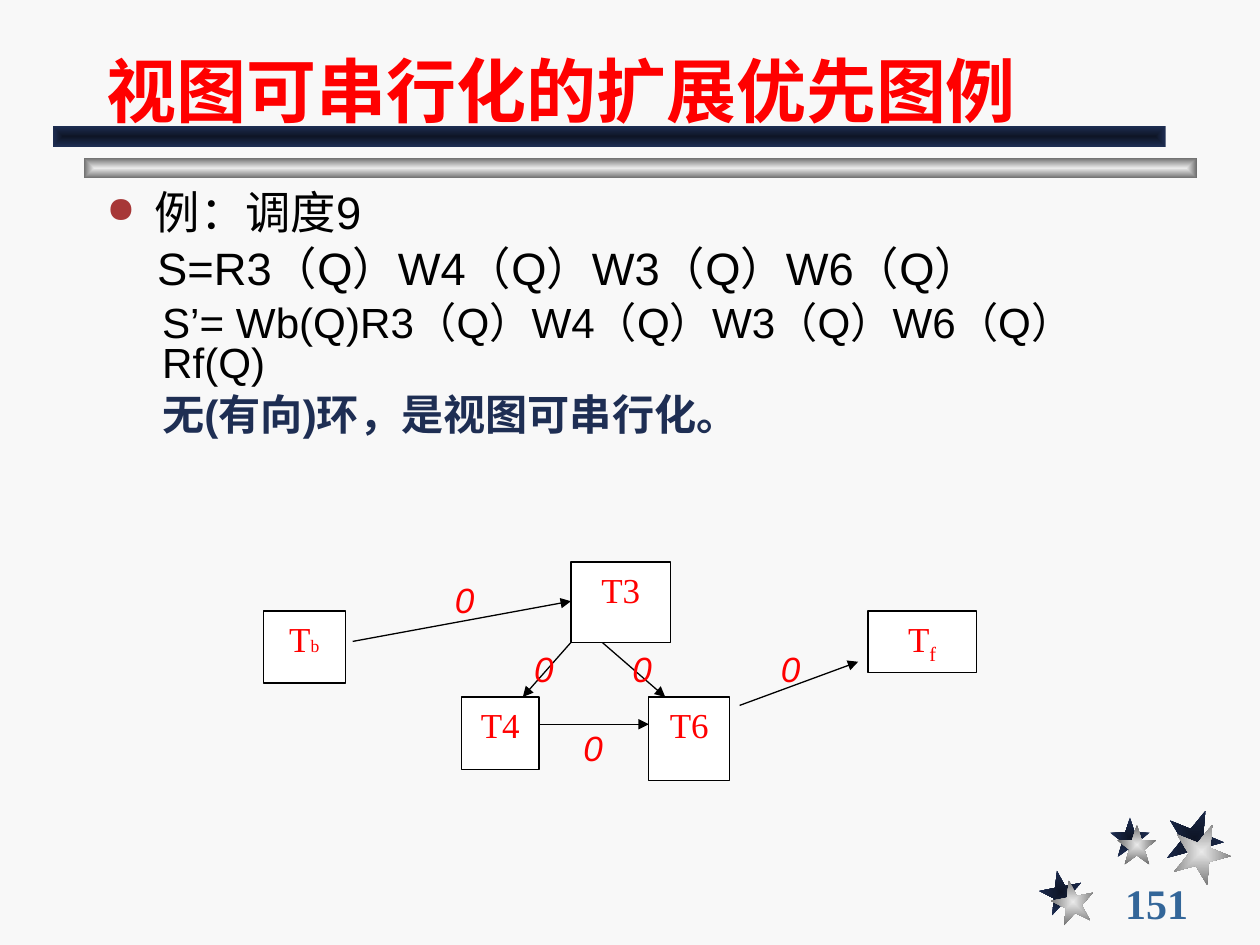
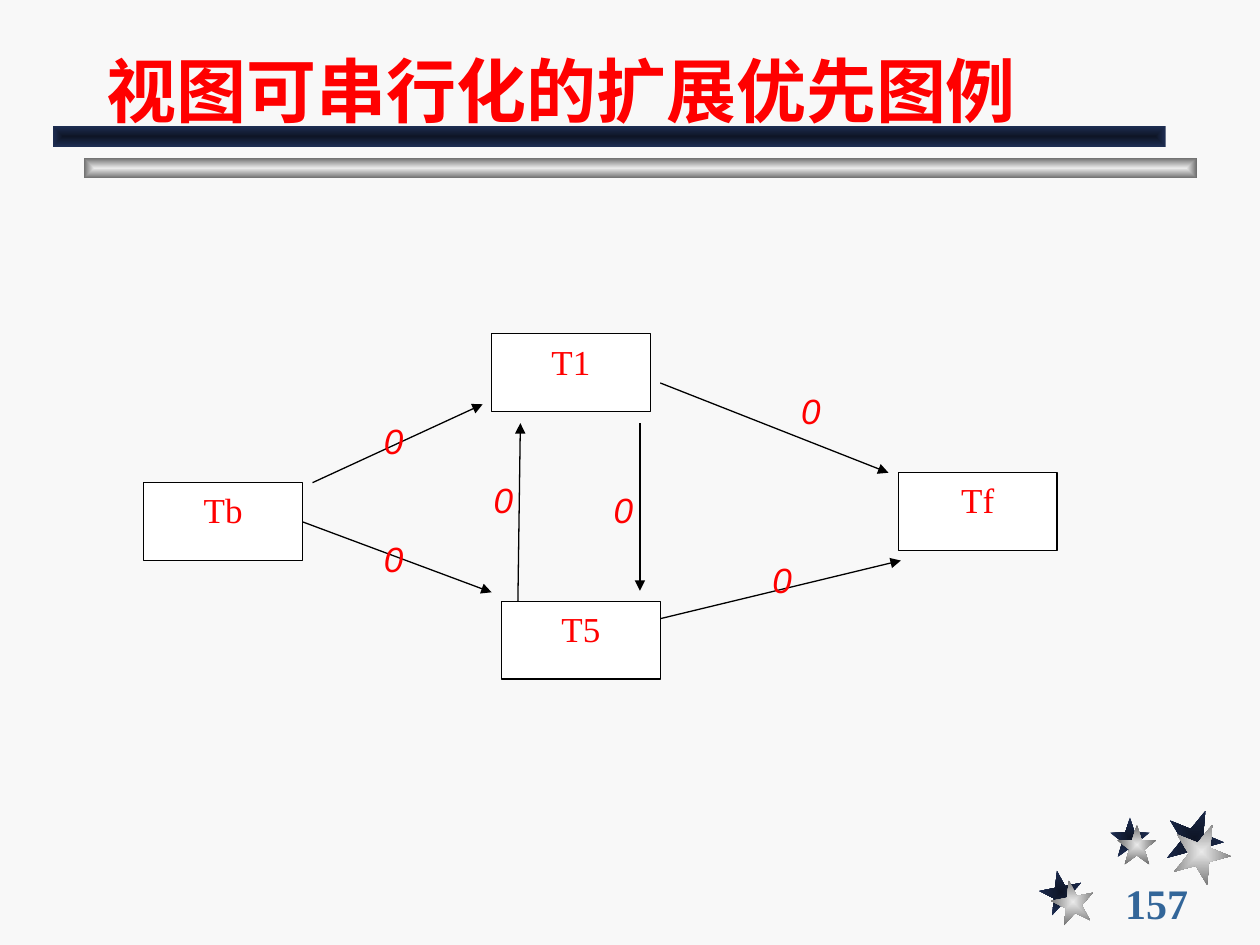
"""Build two slides on extended precedence graphs for view serializability."""
from lxml import etree
from pptx import Presentation
from pptx.dml.color import RGBColor
from pptx.enum.shapes import MSO_CONNECTOR as Link, MSO_SHAPE as Preset
from pptx.enum.text import MSO_ANCHOR as Anchor, MSO_AUTO_SIZE as Fit, PP_ALIGN as Align
from pptx.oxml.ns import qn
from pptx.util import Cm, Pt

PAPER = RGBColor(0xF8, 0xF8, 0xF8)
WHITE = RGBColor(0xFF, 0xFF, 0xFF)
BLACK = RGBColor(0x00, 0x00, 0x00)
RED = RGBColor(0xFF, 0x00, 0x00)
NAVY = RGBColor(0x1E, 0x2E, 0x53)
MIDNIGHT = RGBColor(0x0E, 0x15, 0x26)
SILVER = RGBColor(0xEA, 0xEA, 0xEA)
GREY = RGBColor(0x6C, 0x6C, 0x6C)
BULLET = RGBColor(0xA7, 0x37, 0x37)
NUMBER = RGBColor(0x33, 0x66, 0x99)

DARK_BLEND = (MIDNIGHT, NAVY)
LIGHT_BLEND = (SILVER, GREY)
SANS, SERIF = "Arial", "Times New Roman"
TITLE = "视图可串行化的扩展优先图例"

STARS = [
    (20.96, 17.55, 0.86, -11, 0.24, 0.2),
    (22.38, 16.48, 0.8, 0, 0.14, 0.15),
    (23.5, 16.31, 1.16, 22, 0.14, 0.28),
]

SCHEDULE_LINES = [
    ("例：调度9", 25.9, BLACK, False, 0.97),
    ("S=R3（Q）W4（Q）W3（Q）W6（Q）", 25.9, BLACK, False, 1.02),
    ("S’= Wb(Q)R3（Q）W4（Q）W3（Q）W6（Q）Rf(Q)", 24.1, BLACK, False, 1.12),
    ("无(有向)环，是视图可串行化。", 24.1, NAVY, True, 1.12),
]

ACYCLIC_NODES = [
    ([("T", {}), ("b", {"size": 10})], 5.31, 12.32, 1.65, 1.45),
    ([("T", {}), ("f", {"baseline": -25000})], 17.5, 12.32, 2.18, 1.24),
    ([("T4", {})], 9.3, 14.05, 1.57, 1.47),
    ([("T3", {})], 11.51, 11.33, 2.01, 1.63),
    ([("T6", {})], 13.08, 14.05, 1.63, 1.68),
]
ACYCLIC_ARROWS = [
    (7.11, 12.93, 11.51, 12.12),
    (12.14, 12.95, 13.41, 14.05),
    (10.87, 14.6, 13.08, 14.6),
    (14.91, 14.22, 17.3, 13.34),
    (11.51, 12.95, 10.54, 14.05),
]
ACYCLIC_WEIGHTS = [(8.92, 11.53), (15.49, 12.93), (10.52, 12.93),
                   (12.5, 12.93), (11.51, 14.53)]

CYCLIC_NODES = [
    ([(name, {})], left, top, 3.2, 1.57)
    for name, left, top in [("Tb", 2.9, 9.73), ("Tf", 18.11, 9.53),
                            ("T5", 10.11, 12.12), ("T1", 9.91, 6.73)]
]
CYCLIC_ARROWS = [
    (6.3, 9.73, 9.73, 8.15),
    (12.9, 8.53, 12.9, 11.91),
    (13.11, 12.52, 18.16, 11.3),
    (6.1, 10.52, 9.91, 11.94),
    (13.31, 7.72, 17.91, 9.53),
    (10.44, 12.12, 10.49, 8.53),
]
CYCLIC_WEIGHTS = [(7.49, 8.33), (15.9, 7.72), (7.49, 10.72),
                  (15.32, 11.13), (9.7, 9.53), (12.12, 9.73)]


def add_child(parent, tag, **attributes):
    """Append a DrawingML element with the given attributes."""
    child = etree.SubElement(parent, qn(tag))
    for key, value in attributes.items():
        child.set(key, str(value))
    return child


def add_span(para, text, size=20, color=RED, face=SANS, bold=False,
             italic=False, baseline=0):
    """Add one formatted run of text to a paragraph."""
    span = para.add_run()
    span.text = text
    font = span.font
    font.size, font.name, font.bold, font.italic = Pt(size), face, bold, italic
    font.color.rgb = color
    if baseline:
        font._element.set("baseline", str(baseline))


def add_box(slide, left, top, width, height, wrap=True):
    """Add a text box and return its text frame."""
    box = slide.shapes.add_textbox(Cm(left), Cm(top), Cm(width), Cm(height))
    box.text_frame.word_wrap = wrap
    return box.text_frame


def add_blended(slide, preset, left, top, width, height, blend, rotation=0):
    """Add a preset shape whose colour changes from the centre outwards."""
    shape = slide.shapes.add_shape(preset, Cm(left), Cm(top), Cm(width), Cm(height))
    shape.shadow.inherit = False
    shape.rotation = rotation
    shape.line.fill.background()
    shape.fill.gradient()
    gradient = shape.element.spPr.find(qn("a:gradFill"))
    for child in list(gradient):
        gradient.remove(child)
    stops = add_child(gradient, "a:gsLst")
    for position, color in zip((0, 100000), blend):
        stop = add_child(stops, "a:gs", pos=position)
        add_child(stop, "a:srgbClr", val=color)
    route = add_child(gradient, "a:path", path="rect")
    add_child(route, "a:fillToRect", l=50000, t=50000, r=50000, b=50000)


def add_decoration(slide):
    """Draw the stars and the two bars under the title."""
    for left, top, size, turn, _, _ in STARS:
        add_blended(slide, Preset.STAR_5_POINT, left, top, size, size, DARK_BLEND, turn)
    for left, top, size, turn, right, down in STARS:
        add_blended(slide, Preset.STAR_5_POINT, left + right, top + down,
                    size, size, LIGHT_BLEND, turn)
    for left, top, blend in [(1.69, 3.18, LIGHT_BLEND), (1.06, 2.54, DARK_BLEND)]:
        add_blended(slide, Preset.RECTANGLE, left, top, 22.44, 0.42, blend)


def add_slide(deck, number):
    """Add a slide with its title, decoration and page number."""
    slide = deck.slides.add_slide(deck.slide_layouts[5])
    add_decoration(slide)
    title = slide.shapes.title
    title.left, title.top, title.width, title.height = Cm(1.9), Cm(0.43), Cm(21.59), Cm(2.34)
    frame = title.text_frame
    frame.vertical_anchor, frame.auto_size = Anchor.BOTTOM, Fit.NONE
    para = frame.paragraphs[0]
    para.alignment = Align.LEFT
    add_span(para, TITLE, size=40, bold=True)
    frame = add_box(slide, 22.43, 17.78, 2.74, 0.84, wrap=False)
    frame.vertical_anchor = Anchor.MIDDLE
    add_span(frame.paragraphs[0], str(number), size=24, color=NUMBER, face=SERIF, bold=True)
    return slide


def add_schedule(slide):
    """Write the schedule example, its first line with a bullet."""
    frame = add_box(slide, 1.9, 3.81, 21.59, 5.51)
    for index, (text, size, color, bold, indent) in enumerate(SCHEDULE_LINES):
        para = frame.add_paragraph() if index else frame.paragraphs[0]
        properties = para._p.get_or_add_pPr()
        properties.set("marL", str(Cm(indent)))
        if index == 0:
            properties.set("indent", str(-Cm(indent)))
            add_child(add_child(properties, "a:buClr"), "a:srgbClr", val=BULLET)
            add_child(properties, "a:buSzPct", val=80000)
            add_child(properties, "a:buChar", char="●")
        para.line_spacing = 0.8
        para.space_before = Pt(size * 0.27 if index else 0)
        add_span(para, text, size=size, color=color, bold=bold)


def add_node(slide, spans, left, top, width, height):
    """Draw one transaction as a white box with a black outline."""
    node = slide.shapes.add_shape(Preset.RECTANGLE, Cm(left), Cm(top), Cm(width), Cm(height))
    node.shadow.inherit = False
    node.fill.solid()
    node.fill.fore_color.rgb = WHITE
    node.line.color.rgb = BLACK
    node.line.width = Pt(0.75)
    node.text_frame.vertical_anchor = Anchor.TOP
    para = node.text_frame.paragraphs[0]
    para.alignment = Align.CENTER
    for text, style in spans:
        add_span(para, text, face=SERIF, **style)


def add_arrow(slide, *ends):
    """Draw one precedence edge with a triangular head."""
    arrow = slide.shapes.add_connector(Link.STRAIGHT, *map(Cm, ends))
    arrow.line.color.rgb = BLACK
    arrow.line.width = Pt(0.75)
    properties = arrow.element.spPr
    add_child(properties.find(qn("a:ln")), "a:tailEnd", type="triangle")
    add_child(properties, "a:effectLst")


def add_weight(slide, left, top):
    """Write the label 0 beside an edge."""
    frame = add_box(slide, left, top, 0.89, 1.12, wrap=False)
    frame.auto_size = Fit.SHAPE_TO_FIT_TEXT
    para = frame.paragraphs[0]
    para.alignment = Align.CENTER
    add_span(para, "0", italic=True)


def add_graph(slide, nodes, arrows, weights):
    """Draw a precedence graph from its edges, nodes and edge labels."""
    for arrow in arrows:
        add_arrow(slide, *arrow)
    for node in nodes:
        add_node(slide, *node)
    for weight in weights:
        add_weight(slide, *weight)


def main():
    """Build and save the deck."""
    deck = Presentation()
    deck.slide_width, deck.slide_height = Cm(25.4), Cm(19.05)
    background = deck.slide_master.background.fill
    background.solid()
    background.fore_color.rgb = PAPER
    acyclic = add_slide(deck, 151)
    add_schedule(acyclic)
    add_graph(acyclic, ACYCLIC_NODES, ACYCLIC_ARROWS, ACYCLIC_WEIGHTS)
    cyclic = add_slide(deck, 157)
    add_graph(cyclic, CYCLIC_NODES, CYCLIC_ARROWS, CYCLIC_WEIGHTS)
    deck.save("out.pptx")


if __name__ == "__main__":
    main()
